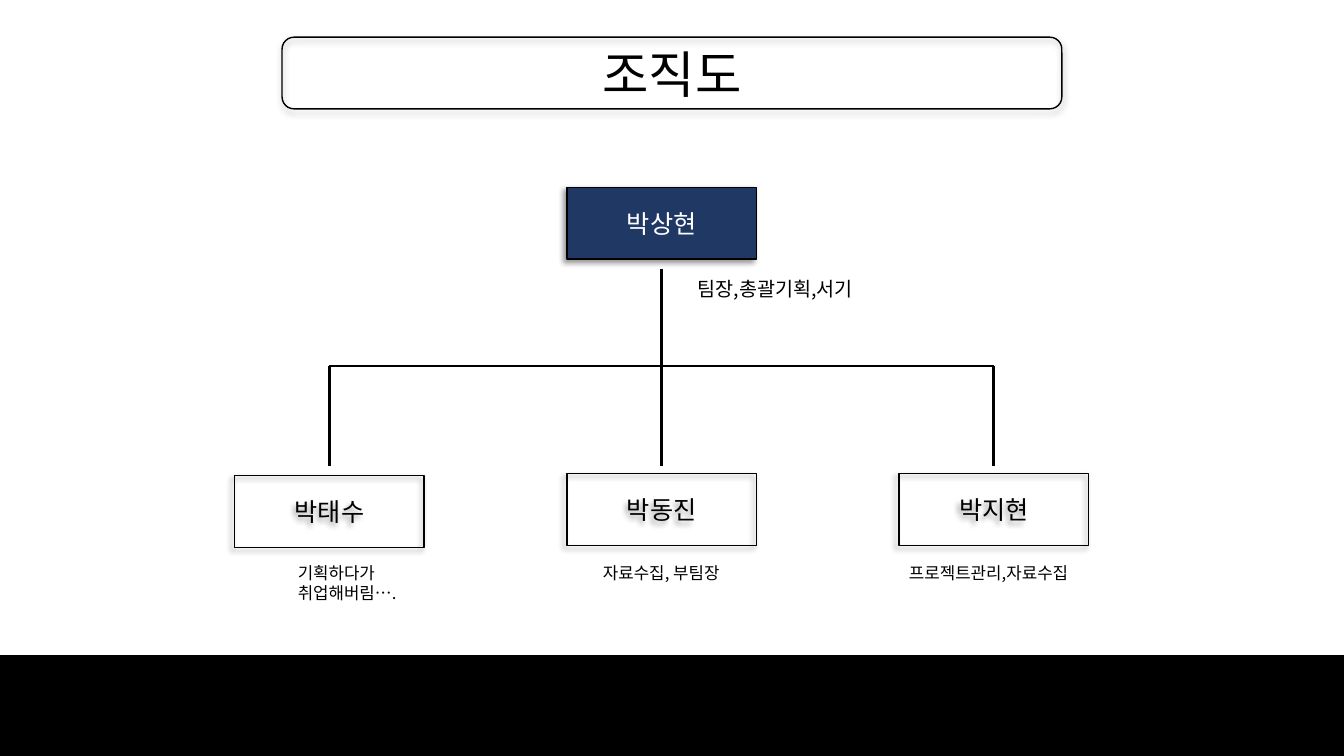
from lxml import etree
from pptx import Presentation
from pptx.dml.color import RGBColor
from pptx.enum.shapes import MSO_CONNECTOR, MSO_SHAPE
from pptx.enum.text import MSO_ANCHOR, MSO_AUTO_SIZE, PP_ALIGN
from pptx.oxml.ns import qn
from pptx.util import Pt

BLACK = RGBColor(0x00, 0x00, 0x00)
WHITE = RGBColor(0xFF, 0xFF, 0xFF)
NAVY = RGBColor(0x20, 0x38, 0x64)
FONT = "Noto Sans CJK KR"
RECTANGLE = MSO_SHAPE.RECTANGLE
ROUNDED = MSO_SHAPE.ROUNDED_RECTANGLE
STRAIGHT = MSO_CONNECTOR.STRAIGHT
MIDDLE = MSO_ANCHOR.MIDDLE
TOP = MSO_ANCHOR.TOP
FIT_SHAPE = MSO_AUTO_SIZE.SHAPE_TO_FIT_TEXT
CENTER = PP_ALIGN.CENTER
LEFT = PP_ALIGN.LEFT

SLIDE_WIDTH, SLIDE_HEIGHT = 960, 540
CARD_WIDTH, CARD_HEIGHT = 135.4, 51.2
MEMBERS = [
    ("박태수", ["기획하다가", "취업해버림…."], 1.4, 38, 98),
    ("박동진", ["자료수집, 부팀장"], 0, 18.7, 117),
    ("박지현", ["프로젝트관리,자료수집"], 0, 0, 150.5),
]


def write_text(frame, lines, size, color, alignment, anchor):
    frame.word_wrap = True
    frame.vertical_anchor = anchor
    for index, line in enumerate(lines):
        paragraph = frame.add_paragraph() if index else frame.paragraphs[0]
        paragraph.alignment = alignment
        run = paragraph.add_run()
        run.text = line
        run.font.size = Pt(size)
        run.font.color.rgb = color
        run.font.name = FONT
        properties = run._r.get_or_add_rPr()
        etree.SubElement(properties, qn("a:ea"), typeface=FONT)


def add_shadow(shape, blur, distance, angle):
    effects = shape._element.spPr.find(qn("a:effectLst"))
    shadow = etree.SubElement(
        effects, qn("a:outerShdw"), blurRad=str(Pt(blur)),
        dist=str(Pt(distance)), dir=str(angle * 60000), rotWithShape="0")
    color = etree.SubElement(shadow, qn("a:srgbClr"), val=str(BLACK))
    etree.SubElement(color, qn("a:alpha"), val="40000")


def add_box(slide, kind, left, top, width, height, fill=None):
    shape = slide.shapes.add_shape(kind, Pt(left), Pt(top), Pt(width), Pt(height))
    shape.shadow.inherit = False
    if fill is None:
        shape.fill.background()
    else:
        shape.fill.solid()
        shape.fill.fore_color.rgb = fill
    shape.line.color.rgb = BLACK
    shape.line.width = Pt(1)
    return shape


def add_line(slide, x1, y1, x2, y2):
    line = slide.shapes.add_connector(STRAIGHT, Pt(x1), Pt(y1), Pt(x2), Pt(y2))
    line.line.color.rgb = BLACK
    line.line.width = Pt(2)
    etree.SubElement(line._element.spPr, qn("a:effectLst"))


def add_card(slide, left, top, name, fill, color):
    card = add_box(slide, RECTANGLE, left, top, CARD_WIDTH, CARD_HEIGHT, fill)
    add_shadow(card, 4, 3, 135)
    write_text(card.text_frame, [name], 18, color, CENTER, MIDDLE)


def add_note(slide, left, top, width, height, lines, size):
    note = slide.shapes.add_textbox(Pt(left), Pt(top), Pt(width), Pt(height))
    write_text(note.text_frame, lines, size, BLACK, LEFT, TOP)
    note.text_frame.auto_size = FIT_SHAPE


def add_footer(slide, height):
    add_box(slide, RECTANGLE, 0, SLIDE_HEIGHT - height, SLIDE_WIDTH, height, BLACK)


def add_title(slide, left, top, width, height):
    frame = add_box(slide, ROUNDED, left, top, width, height)
    add_shadow(frame, 5, 2, 90)
    title = slide.shapes.title
    title.left, title.top = Pt(left), Pt(top)
    title.width, title.height = Pt(width), Pt(height)
    write_text(title.text_frame, ["조직도"], 36, BLACK, CENTER, MIDDLE)


def add_organization(slide, left, top, column_step):
    centers = [left + CARD_WIDTH / 2 + column_step * i for i in range(len(MEMBERS))]
    leader_center = centers[1]
    branch_top = top + 127.6
    branch_bottom = branch_top + 71.3
    member_top = top + 204.6

    add_card(slide, leader_center - CARD_WIDTH / 2, top, "박상현", NAVY, WHITE)
    add_note(slide, leader_center + 18.5, top + 60.5, 144, 24.5,
             ["팀장,총괄기획,서기"], 14)
    add_line(slide, leader_center, top + 58.3, leader_center, branch_top)
    add_line(slide, centers[0], branch_top, centers[-1], branch_top)

    for center, member in zip(centers, MEMBERS):
        name, duties, drop, indent, note_width = member
        card_left = center - CARD_WIDTH / 2
        add_line(slide, center, branch_top, center, branch_bottom)
        add_card(slide, card_left, member_top + drop, name, None, BLACK)
        add_note(slide, card_left + indent, member_top + 60.2, note_width,
                 7.2 + 14.4 * len(duties), duties, 12)


def main():
    presentation = Presentation()
    presentation.slide_width = Pt(SLIDE_WIDTH)
    presentation.slide_height = Pt(SLIDE_HEIGHT)
    slide = presentation.slides.add_slide(presentation.slide_layouts[5])
    add_footer(slide, 71.3)
    add_title(slide, 201.5, 26.6, 557, 51.2)
    add_organization(slide, 167.6, 133.8, 237.3)
    presentation.save("out.pptx")


if __name__ == "__main__":
    main()
